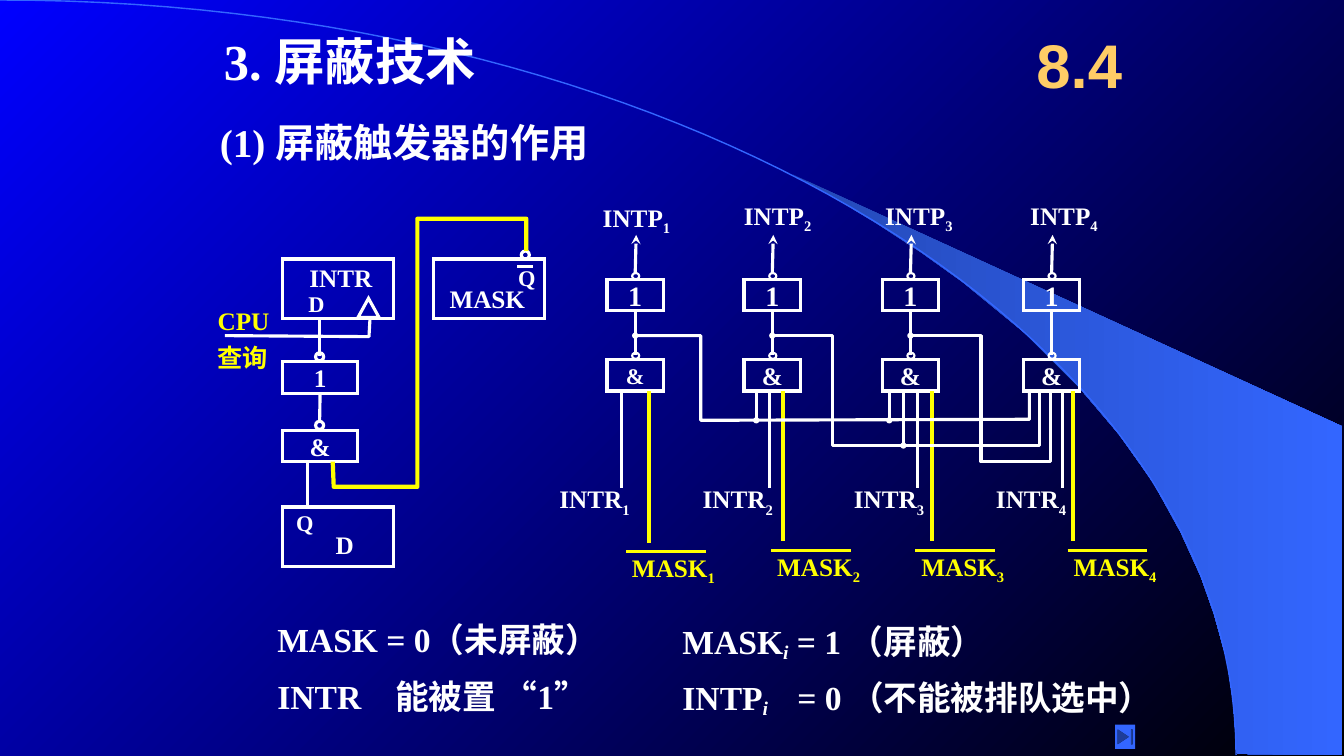
from dataclasses import dataclass

import pptx
import pptx.dml.color
import pptx.enum.shapes
import pptx.enum.text
import pptx.oxml.ns
import pptx.util
from lxml import etree

Inches = pptx.util.Inches
Shape = pptx.enum.shapes.MSO_SHAPE
Align = pptx.enum.text.PP_ALIGN
Anchor = pptx.enum.text.MSO_ANCHOR
qn = pptx.oxml.ns.qn

WHITE, YELLOW, SKY, GOLD = "FFFFFF", "FFFF00", "3366FF", "FFCC66"


@dataclass
class Span:
    text: str
    baseline: int = 0


@dataclass
class Label:
    left: float
    top: float
    width: float
    height: float
    lines: list
    size: float = 18
    color: str = WHITE
    font: str = "Times New Roman"
    middle: bool = False
    inset: bool = True
    align: Align = Align.LEFT
    spacing: float = 1.0
    tab: float = 0


@dataclass
class Wire:
    points: list
    color: str = WHITE
    width: float = 2.25
    head: str = ""
    tail: str = ""


@dataclass
class Channel:
    number: str
    center: float
    intp_left: float
    intr_left: float
    intr_x: float
    mask_left: float
    mask_x: float
    drop: float = 0


def rgb(value: str) -> pptx.dml.color.RGBColor:
    return pptx.dml.color.RGBColor.from_string(value)


def stroke(item, color: str, width: float, head: str = "", tail: str = "", miter: bool = False) -> None:
    item.line.color.rgb = rgb(color)
    item.line.width = pptx.util.Pt(width)
    outline = item._element.spPr.find(qn("a:ln"))
    if miter:
        etree.SubElement(outline, qn("a:miter"), lim="800000")
    for tag, kind in (("a:headEnd", head), ("a:tailEnd", tail)):
        if kind:
            size = "sm" if kind == "oval" else "med"
            etree.SubElement(outline, qn(tag), type=kind, w=size, len=size)


def gradient(fill, first: str, last: str, angle: float) -> None:
    fill.gradient()
    fill.gradient_angle = angle
    for stop, color in zip(fill.gradient_stops, (first, last)):
        stop.color.rgb = rgb(color)


def write(box, label: Label) -> None:
    frame = box.text_frame
    frame.word_wrap = label.align == Align.CENTER
    frame.vertical_anchor = Anchor.MIDDLE if label.middle else Anchor.TOP
    frame.margin_left = frame.margin_right = Inches(0.1 if label.inset else 0)
    frame.margin_top = frame.margin_bottom = Inches(0.05 if label.inset else 0)
    for index, line in enumerate(label.lines):
        para = frame.add_paragraph() if index else frame.paragraphs[0]
        if label.tab:
            tabs = etree.SubElement(para._p.get_or_add_pPr(), qn("a:tabLst"))
            etree.SubElement(tabs, qn("a:tab"), pos=str(Inches(label.tab)), algn="l")
        para.alignment = label.align
        para.line_spacing = label.spacing
        para.font.name = label.font
        para.font.size = pptx.util.Pt(label.size)
        para.font.bold = True
        para.font.color.rgb = rgb(label.color)
        for span in [Span(line)] if isinstance(line, str) else line:
            run = para.add_run()
            run.text = span.text
            if span.baseline:
                run._r.get_or_add_rPr().set("baseline", str(span.baseline * 1000))
            if span.text == "i":
                run.font.italic = True


def draw_label(page, label: Label) -> None:
    area = [Inches(v) for v in (label.left, label.top, label.width, label.height)]
    write(page.shapes.add_textbox(*area), label)


def draw_shape(page, kind: Shape, left: float, top: float, width: float, height: float, line: float = 2.25):
    box = page.shapes.add_shape(kind, *[Inches(v) for v in (left, top, width, height)])
    box.shadow.inherit = False
    box.fill.background()
    stroke(box, WHITE, line, miter=True)
    return box


def draw_gate(page, left: float, top: float, width: float, symbol: str, size: float):
    box = draw_shape(page, Shape.RECTANGLE, left, top, width, 0.31)
    write(box, Label(left, top, width, 0.31, [symbol], size, middle=True, inset=False, align=Align.CENTER))
    return box


def draw_outline(page, points: list, closed: bool = False):
    corners = [(Inches(x), Inches(y)) for x, y in points]
    builder = page.shapes.build_freeform(*corners[0])
    builder.add_line_segments(corners[1:], close=closed)
    outline = builder.convert_to_shape()
    outline.shadow.inherit = False
    outline.fill.background()
    return outline


def draw_wire(page, wire: Wire):
    if len(wire.points) == 2:
        ends = [Inches(v) for point in wire.points for v in point]
        line = page.shapes.add_connector(pptx.enum.shapes.MSO_CONNECTOR.STRAIGHT, *ends)
        etree.SubElement(line._element.spPr, qn("a:effectLst"))
    else:
        line = draw_outline(page, wire.points)
    stroke(line, wire.color, wire.width, wire.head, wire.tail)
    return line


def draw_backdrop(page) -> None:
    gradient(page.background.fill, "0000FF", "000000", 315)
    crescent = draw_outline(page, [
        (12.27, 7.48), (13.31, 7.49), (13.31, 4.23), (7.86, 1.73), (8.32, 1.99), (8.7, 2.22),
        (9.13, 2.5), (9.55, 2.8), (10.16, 3.3), (10.7, 3.84), (11.1, 4.31), (11.44, 4.79),
        (11.71, 5.28), (11.91, 5.72), (12.04, 6.09), (12.17, 6.56), (12.23, 6.96)], closed=True)
    gradient(crescent.fill, "2449B6", SKY, 0)
    crescent.line.fill.background()
    steps = [n / 60 for n in range(61)]
    arc = [(3 * 6.77 * t * (1 - t) ** 2 + 12.26 * (3 * t * t * (1 - t) + t ** 3),
            3 * 3.35 * t * t * (1 - t) + 7.49 * t ** 3) for t in steps]
    stroke(draw_outline(page, arc), SKY, 1)


def draw_channel(page, channel: Channel) -> None:
    x, drop = channel.center, channel.drop
    inverter = draw_gate(page, x - 0.28, 2.77, 0.56, "1", 20)
    draw_gate(page, x - 0.28, 3.57, 0.56, "&", 16 if channel.number == "1" else 18)
    draw_wire(page, Wire([(x, 3.08), (x, 3.52)])).begin_connect(inverter, 2)
    for top in (2.71, 3.5):
        draw_shape(page, Shape.OVAL, x - 0.03, top, 0.07, 0.06, 1.5)
    bar = channel.mask_left + 0.04
    for wire in (Wire([(x, 2.71), (x + 0.01, 2.33)], tail="stealth"),
                 Wire([(channel.intr_x, 3.88), (channel.intr_x, 4.84)]),
                 Wire([(channel.mask_x, 3.88), (channel.mask_x, 5.37 + drop)], YELLOW, 3),
                 Wire([(bar, 5.46 + drop / 2), (bar + 0.79, 5.46 + drop / 2)], YELLOW)):
        draw_wire(page, wire)
    for name, left, top, color in (("INTP", channel.intp_left, 1.94 + drop, WHITE),
                                   ("INTR", channel.intr_left, 4.75, WHITE),
                                   ("MASK", channel.mask_left, 5.42 + drop / 2, YELLOW)):
        spans = [Span(name), Span(channel.number, -25)]
        draw_label(page, Label(left, top, 1.2, 0.4, [spans], color=color))


CHANNELS = [
    Channel("1", 6.3, 5.88, 5.45, 6.16, 6.17, 6.44, 0.02),
    Channel("2", 7.66, 7.28, 6.87, 7.63, 7.61, 7.77),
    Channel("3", 9.03, 8.68, 8.37, 9.1, 9.04, 9.24),
    Channel("4", 10.43, 10.12, 9.78, 10.54, 10.55, 10.64),
]
WIRES = [
    Wire([(6.3, 3.33), (6.95, 3.33), (6.95, 4.17), (10.21, 4.16), (10.21, 3.88)], head="oval"),
    Wire([(7.66, 3.33), (8.26, 3.33), (8.26, 4.42), (10.31, 4.42), (10.31, 3.88)], head="oval"),
    Wire([(9.03, 3.33), (9.73, 3.33), (9.73, 4.58), (10.42, 4.58), (10.42, 3.88)], head="oval"),
    Wire([(7.5, 3.88), (7.5, 4.17)], tail="oval"),
    Wire([(8.82, 3.88), (8.82, 4.17)], tail="oval"),
    Wire([(8.96, 3.88), (8.96, 4.42)], tail="oval"),
    Wire([(3.05, 4.58), (3.05, 5.03)]),
    Wire([(3.17, 3.16), (3.17, 3.53)]),
    Wire([(3.3, 4.58), (3.31, 4.83), (4.14, 4.83), (4.14, 2.17), (5.22, 2.17), (5.22, 2.49)], YELLOW, 3),
    Wire([(5.13, 2.64), (5.29, 2.64)]),
    Wire([(2.23, 3.33), (3.66, 3.34), (3.67, 3.16)]),
]
LABELS = [
    Label(2.18, 1.17, 5.9, 0.47, ["(1) 屏蔽触发器的作用"], 28, middle=True, inset=False),
    Label(2.75, 6.11, 3.75, 0.47, ["MASK = 0（未屏蔽）"], 24, middle=True, inset=False),
    Label(2.75, 6.67, 3.75, 0.47, ["INTR\t能被置 “1”"], 24, middle=True, inset=False, tab=1.17),
    Label(6.67, 6.11, 3.67, 0.5, [[Span("MASK"), Span("i", -15), Span(" = 1 （屏蔽）")]], 24),
    Label(6.67, 6.67, 5, 0.5, [[Span("INTP"), Span("i", -15), Span("\t= 0 （不能被排队选中）")]], 24, tab=1.14),
    Label(10.08, 0.17, 1.25, 0.92, ["8.4"], 44, GOLD, "Arial", middle=True, align=Align.CENTER),
    Label(2.97, 2.55, 0.83, 0.4, ["INTR"]),
    Label(2.96, 2.83, 0.37, 0.37, ["D"], 16),
    Label(4.36, 2.76, 0.95, 0.4, ["MASK"]),
    Label(5.04, 2.57, 0.37, 0.37, ["Q"], 16),
    Label(2.84, 5, 0.37, 0.37, ["Q"], 16),
    Label(3.23, 5.2, 0.38, 0.4, ["D"]),
    Label(2.06, 2.9, 0.72, 0.85, ["CPU", "查询"], color=YELLOW, spacing=1.25),
]


def main() -> None:
    deck = pptx.Presentation()
    deck.slide_width, deck.slide_height = Inches(13.33), Inches(7.5)
    page = deck.slides.add_slide(deck.slide_layouts[5])
    draw_backdrop(page)
    title = page.shapes.title
    page.shapes._spTree.append(title._element)
    title.left, title.top, title.width, title.height = [Inches(v) for v in (2.22, 0.36, 3.54, 0.47)]
    write(title, Label(2.22, 0.36, 3.54, 0.47, ["3. 屏蔽技术"], 36, middle=True, inset=False))
    for channel in CHANNELS:
        draw_channel(page, channel)
    for left, top in ((2.8, 2.57), (4.3, 2.57), (2.8, 5.03)):
        draw_shape(page, Shape.RECTANGLE, left, top, 1.1, 0.59)
    inverter = draw_gate(page, 2.8, 3.59, 0.75, "1", 18)
    draw_gate(page, 2.8, 4.27, 0.75, "&", 18)
    draw_wire(page, Wire([(3.17, 3.9), (3.17, 4.19)])).begin_connect(inverter, 2)
    for left, top in ((3.13, 3.5), (3.13, 4.18), (5.17, 2.49)):
        draw_shape(page, Shape.OVAL, left, top, 0.08, 0.08)
    draw_shape(page, Shape.ISOSCELES_TRIANGLE, 3.55, 2.96, 0.21, 0.19)
    for wire in WIRES:
        draw_wire(page, wire)
    for label in LABELS:
        draw_label(page, label)
    button = draw_shape(page, Shape.ACTION_BUTTON_END, 11.06, 7.19, 0.2, 0.24)
    button.fill.solid()
    button.fill.fore_color.rgb = rgb(SKY)
    button.line.fill.background()
    deck.save("out.pptx")


if __name__ == "__main__":
    main()
